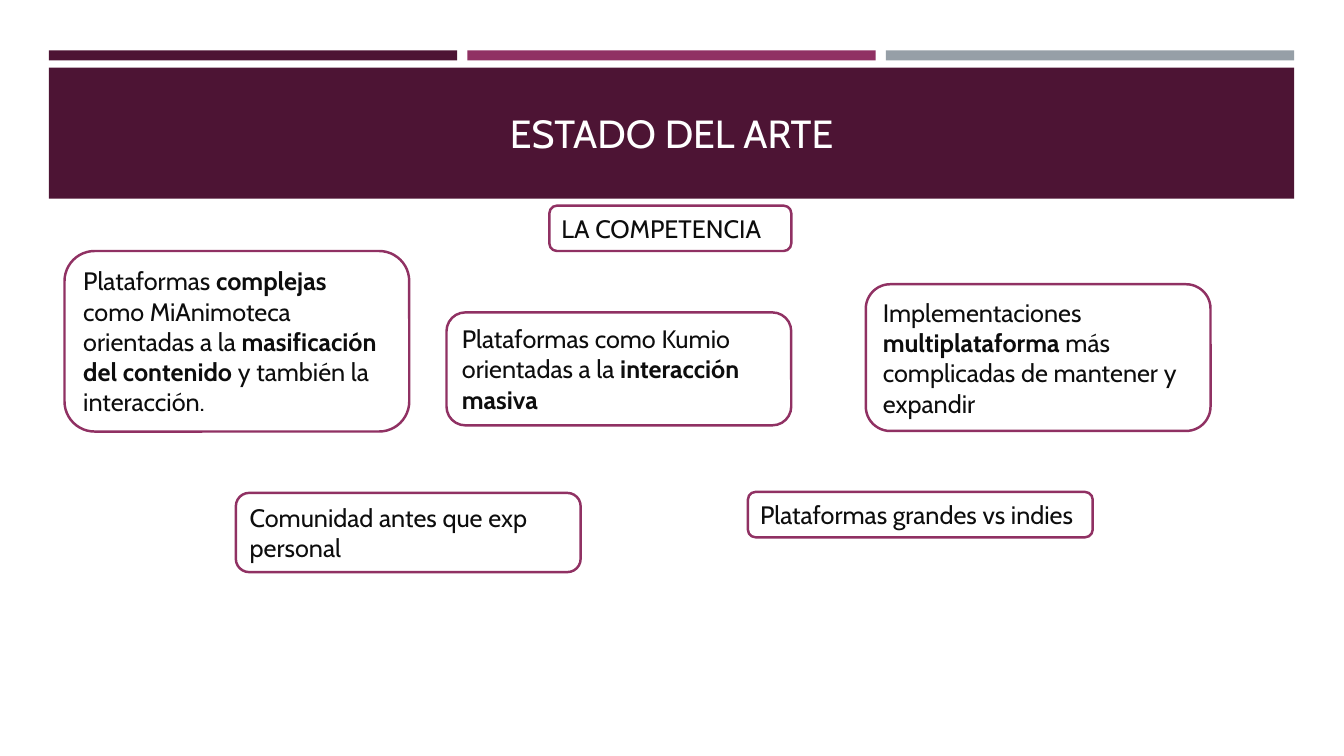
import pptx
import pptx.dml.color
import pptx.enum.shapes
import pptx.enum.text
import pptx.util

RGBColor = pptx.dml.color.RGBColor
MSO_SHAPE = pptx.enum.shapes.MSO_SHAPE
PP_ALIGN = pptx.enum.text.PP_ALIGN

PLUM = RGBColor(0x4D, 0x14, 0x34)
MAGENTA = RGBColor(0x90, 0x31, 0x63)
GREY = RGBColor(0x96, 0x9F, 0xA7)
WHITE = RGBColor(0xFF, 0xFF, 0xFF)
INK = RGBColor(0x0D, 0x0D, 0x0D)

SLIDE_WIDTH = pptx.util.Inches(13.33)
SLIDE_HEIGHT = pptx.util.Inches(7.5)

# Boxes are left, top, width, height in percent of the slide.
HEADER = (3.64, 6.67, 92.65, 19.6)
BODY = (4.8, 27.2, 90.4, 50)
BAR_GAP = 0.75
BAR_HEIGHT = 1.33
BAND_OFFSET = 2.27
CARD_WIDTH = 25.65
FIRST_LINE = 6
NEXT_LINE = 4.47

# Offset in the body, width, line count, text with bold parts between asterisks.
CARDS = [
    (36.08, 0, 18, 1, "LA COMPETENCIA"),
    (0, 6, CARD_WIDTH, 5,
     "Plataformas *complejas* como MiAnimoteca orientadas a la "
     "*masificación del contenido *y también la interacción."),
    (28.42, 14.13, CARD_WIDTH, 3,
     "Plataformas como Kumio orientadas a la* interacción masiva*"),
    (59.62, 10.4, CARD_WIDTH, 4,
     "Implementaciones *multiplataforma* más complicadas de mantener y expandir"),
    (12.75, 38, CARD_WIDTH, 2, "Comunidad antes que exp personal"),
    (50.85, 37.87, CARD_WIDTH, 1, "Plataformas grandes vs indies"),
]


def add_panel(slide, kind, box, fill, line=None):
    """Add a filled shape over a box given in percent of the slide."""
    left, top, width, height = box
    panel = slide.shapes.add_shape(
        kind,
        round(SLIDE_WIDTH * left / 100), round(SLIDE_HEIGHT * top / 100),
        round(SLIDE_WIDTH * width / 100), round(SLIDE_HEIGHT * height / 100))
    panel.shadow.inherit = False
    panel.fill.solid()
    panel.fill.fore_color.rgb = fill
    if line is None:
        panel.line.fill.background()
    else:
        panel.line.color.rgb = line
        panel.line.width = pptx.util.Pt(1.75)
    return panel


def write(panel, text, size, color, align):
    """Write text in a panel, with the parts between asterisks in bold."""
    frame = panel.text_frame
    frame.word_wrap = True
    frame.vertical_anchor = pptx.enum.text.MSO_ANCHOR.MIDDLE
    paragraph = frame.paragraphs[0]
    paragraph.alignment = align
    for index, part in enumerate(text.split("*")):
        if not part:
            continue
        run = paragraph.add_run()
        run.text = part
        run.font.color.rgb = color
        formats = {"name": "Cabin", "size": pptx.util.Pt(size), "bold": index % 2 == 1}
        for key, value in formats.items():
            setattr(run.font, key, value)


def add_header(slide, box):
    """Place three equal bars above the title band."""
    left, top, width, height = box
    bar_width = (width - 2 * BAR_GAP) / 3
    for column, color in enumerate((PLUM, MAGENTA, GREY)):
        bar_left = left + column * (bar_width + BAR_GAP)
        add_panel(slide, MSO_SHAPE.RECTANGLE, (bar_left, top, bar_width, BAR_HEIGHT), color)
    band_box = (left, top + BAND_OFFSET, width, height - BAND_OFFSET)
    title_band = add_panel(slide, MSO_SHAPE.RECTANGLE, band_box, PLUM)
    write(title_band, "ESTADO DEL ARTE", 28, WHITE, PP_ALIGN.CENTER)


def add_cards(slide, box):
    """Place the rounded cards, each as tall as its lines need."""
    left, top = box[:2]
    for across, down, width, lines, text in CARDS:
        height = FIRST_LINE + (lines - 1) * NEXT_LINE
        card = add_panel(slide, MSO_SHAPE.ROUNDED_RECTANGLE,
                         (left + across, top + down, width, height), WHITE, MAGENTA)
        write(card, text, 18, INK, PP_ALIGN.LEFT)


def main():
    """Build and save the slide."""
    deck = pptx.Presentation()
    deck.slide_width = SLIDE_WIDTH
    deck.slide_height = SLIDE_HEIGHT
    slide = deck.slides.add_slide(deck.slide_layouts[6])
    add_header(slide, HEADER)
    add_cards(slide, BODY)
    deck.save("out.pptx")


if __name__ == "__main__":
    main()
